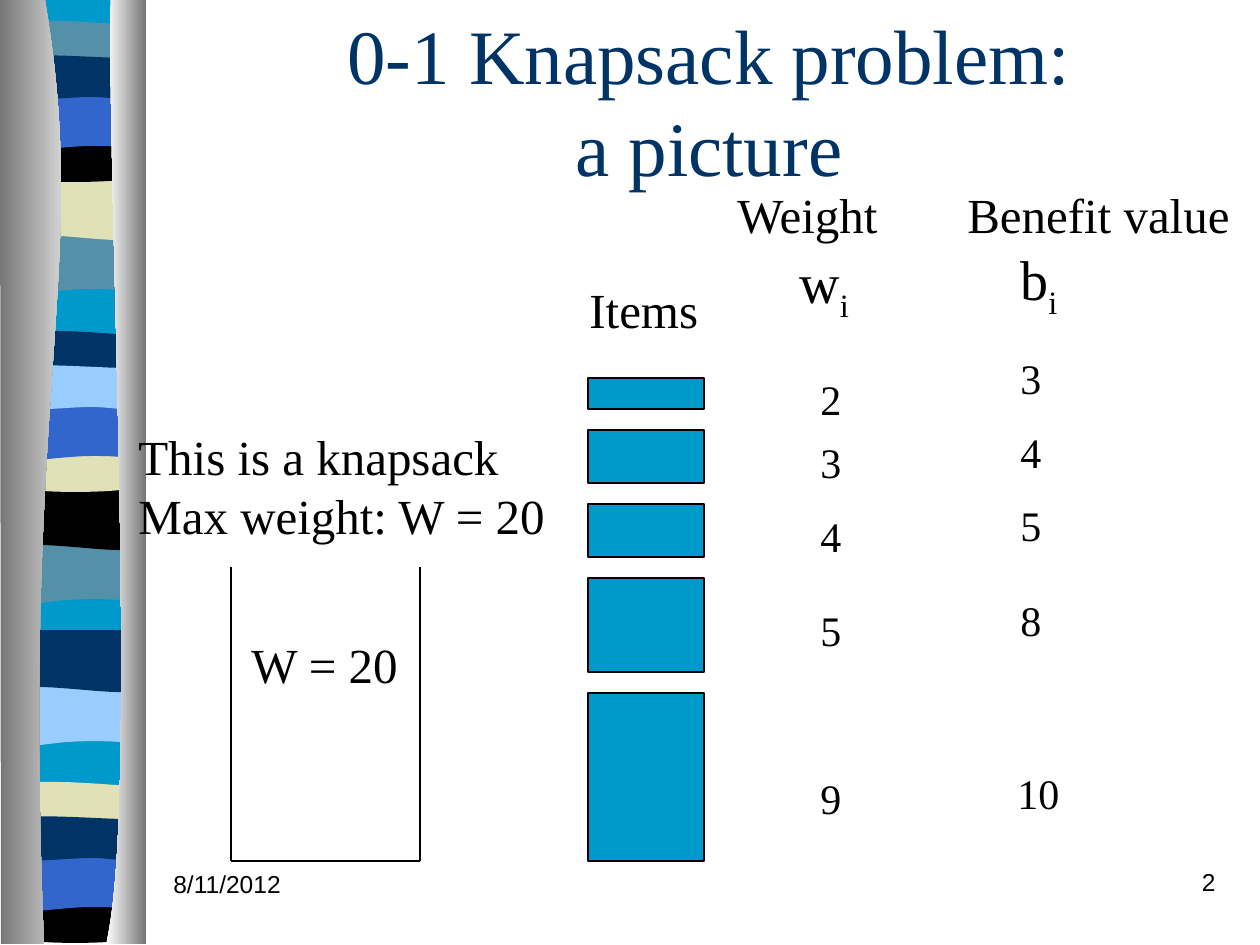
from lxml import etree
from pptx import Presentation
from pptx import util as u
from pptx.dml.color import RGBColor
from pptx.enum import shapes, text
from pptx.oxml import ns

SCALE = u.Inches(1) / 126
SERIF, SANS = "Times New Roman", "Arial"
BLACK, NAVY, BLUE, TEAL = "000000", "003366", "3366CC", "0099CC"
SLATE, SAND, SKY = "5490A8", "E1E1B7", "99CCFF"

WAVES = [
    [(144, 233), (144, 233, 144, 292, 144, 292), (49, 282, 30, 302, 6, 292),
     (6, 233), (144, 233)],
    [(144, 178), (144, 237), (121, 247, 49, 229, 6, 237), (6, 178), (144, 178)],
    [(144, 26), (144, 57), (121, 63, 30, 63, 6, 57), (6, 26),
     (15, 20, 37, 21, 59, 21), (82, 21, 126, 25, 144, 26)],
    [(144, 136), (144, 176), (121, 184, 30, 184, 6, 176), (6, 136),
     (91, 142, 115, 136, 144, 136)],
    [(144, 93), (144, 93, 144, 152, 144, 152), (122, 146, 113, 146, 91, 146),
     (68, 146, 28, 152, 6, 152), (6, 93), (144, 93)],
    [(144, 58), (144, 97), (135, 103, 113, 97, 91, 97), (68, 97, 21, 103, 6, 97),
     (6, 58), (26, 52, 100, 58, 122, 58), (145, 58, 139, 58, 144, 58)],
]
BANDS = [
    ([0] * 6, [SLATE, SAND, SLATE, BLACK, BLUE, NAVY]),
    ([310] * 6, [SLATE, BLACK, NAVY, SAND, BLUE, SKY]),
    ([452] * 2 + [761] * 4, [SKY, NAVY, SAND, BLACK, BLUE, NAVY]),
]
LEFT_EDGE = [(45, 0), (91, 272, 21, 373, 44, 944), (1, 944), (0, 0), (45, 0)]
RIGHT_EDGE = [(111, 0), (106, 158, 140, 814, 106, 944), (146, 944), (146, 0), (111, 0)]

ITEMS = [
    (31, "2", 367, "3", 346),
    (53, "3", 430, "4", 420),
    (53, "4", 504, "5", 493),
    (94, "5", 598, "8", 588),
    (168, "9", 766, "10", 761),
]


def px(n):
    return u.Emu(round(n * SCALE))


def rgb(value):
    return RGBColor.from_string(value)


def pairs(seg):
    return list(zip(seg[::2], seg[1::2]))


class Deck:
    def __init__(self, width, height):
        self.prs = Presentation()
        self.prs.slide_width, self.prs.slide_height = px(width), px(height)
        self.s = self.prs.slides.add_slide(self.prs.slide_layouts[5])

    def style(self, tf, size, color=BLACK, font=SERIF, align=text.PP_ALIGN.LEFT):
        for p in tf.paragraphs:
            p.alignment = align
            for r in p.runs:
                r.font.size, r.font.name = u.Pt(size), font
                r.font.color.rgb = rgb(color)

    def title(self, words, x, y, w, h):
        sp = self.s.shapes.title
        sp.left, sp.top, sp.width, sp.height = px(x), px(y), px(w), px(h)
        tf = sp.text_frame
        tf.text = words
        tf.auto_size = text.MSO_AUTO_SIZE.NONE
        tf.vertical_anchor = text.MSO_ANCHOR.MIDDLE
        self.style(tf, 44, NAVY, align=text.PP_ALIGN.CENTER)

    def label(self, words, x, y, w, h, size=28, wrap=False, **style):
        sp = self.s.shapes.add_textbox(px(x), px(y), px(w), px(h))
        tf = sp.text_frame
        tf.text = words
        tf.word_wrap = wrap
        self.style(tf, size, **style)
        return tf

    def symbol(self, letter, index, x, y):
        tf = self.label(letter, x, y, 76, 79, 32, wrap=True)
        r = tf.paragraphs[0].add_run()
        r.text = index
        self.style(tf, 32)
        r.font._element.set("baseline", "-25000")

    def outline(self, segments, color=None, stops=None, dy=0):
        points = [point for seg in segments for point in pairs(seg)]
        left, top = (min(values) for values in zip(*points))
        emu = [(px(x), px(y + dy)) for x, y in points]
        fb = self.s.shapes.build_freeform(*emu[0], scale=1.0)
        fb.add_line_segments(emu[1:], close=True)
        sp = fb.convert_to_shape()
        self.bend(sp, segments, left, top)
        sp.shadow.inherit = False
        sp.line.fill.background()
        if stops:
            sp.fill.gradient()
            sp.fill.gradient_angle = 0
            for stop, value in zip(sp.fill.gradient_stops, stops):
                stop.color.rgb = rgb(value)
        else:
            sp.fill.solid()
            sp.fill.fore_color.rgb = rgb(color)

    def bend(self, sp, segments, left, top):
        track = next(sp._element.iter(ns.qn("a:pathLst")))[0]
        for child in list(track):
            track.remove(child)
        for i, seg in enumerate(segments):
            tag = "a:moveTo" if i == 0 else "a:lnTo" if len(seg) == 2 else "a:cubicBezTo"
            step = etree.SubElement(track, ns.qn(tag))
            for x, y in pairs(seg):
                etree.SubElement(step, ns.qn("a:pt"), x=str(px(x - left)), y=str(px(y - top)))
        etree.SubElement(track, ns.qn("a:close"))

    def box(self, x, y, w, h):
        sp = self.s.shapes.add_shape(shapes.MSO_SHAPE.RECTANGLE, px(x), px(y), px(w), px(h))
        sp.shadow.inherit = False
        sp.fill.solid()
        sp.fill.fore_color.rgb = rgb(TEAL)
        sp.line.color.rgb = rgb(BLACK)
        sp.line.width = u.Pt(0.75)

    def line(self, start, end):
        sp = self.s.shapes.add_connector(
            shapes.MSO_CONNECTOR.STRAIGHT, *map(px, start + end))
        sp.line.color.rgb = rgb(BLACK)
        sp.line.width = u.Pt(0.75)
        etree.SubElement(sp._element.spPr, ns.qn("a:effectLst"))


def draw_sidebar(deck):
    deck.outline([(144, 0), (144, 942), (6, 942), (6, 0), (144, 0)], TEAL)
    for offsets, colors in BANDS:
        for wave, dy, color in zip(WAVES, offsets, colors):
            deck.outline(wave, color, dy=dy)
    deck.outline(LEFT_EDGE, stops=("767676", "FFFFFF"))
    deck.outline(RIGHT_EDGE, stops=("FFFFFF", "767676"))


def draw_knapsack(deck):
    corners = [(231, 567), (231, 861), (420, 861), (420, 567)]
    for start, end in zip(corners, corners[1:]):
        deck.line(start, end)
    deck.label("W = 20", 239, 628, 173, 72)
    deck.label("This is a knapsack\nMax weight: W = 20", 126, 420, 433, 130)


def draw_items(deck):
    deck.label("Items", 577, 273, 134, 72)
    deck.label("Weight", 725, 178, 169, 72)
    deck.label("Benefit value", 955, 178, 287, 72)
    deck.symbol("w", "i", 787, 241)
    deck.symbol("b", "i", 1008, 238)
    top = 378
    for height, weight, weight_top, benefit, benefit_top in ITEMS:
        deck.box(588, top, 116, height)
        deck.label(weight, 808, weight_top, 47, 63, 24)
        deck.label(benefit, 1011 - 3 * len(benefit), benefit_top,
                   27 + 20 * len(benefit), 63, 24)
        top += height + 21


def main():
    deck = Deck(1260, 945)
    draw_sidebar(deck)
    deck.title("0-1 Knapsack problem:\va picture", 158, 21, 1102, 158)
    draw_knapsack(deck)
    draw_items(deck)
    deck.label("8/11/2012", 161, 863, 262, 63, 14, wrap=True, font=SANS)
    deck.label("2", 966, 861, 262, 63, 14, wrap=True, font=SANS,
               align=text.PP_ALIGN.RIGHT)
    deck.prs.save("out.pptx")


if __name__ == "__main__":
    main()
